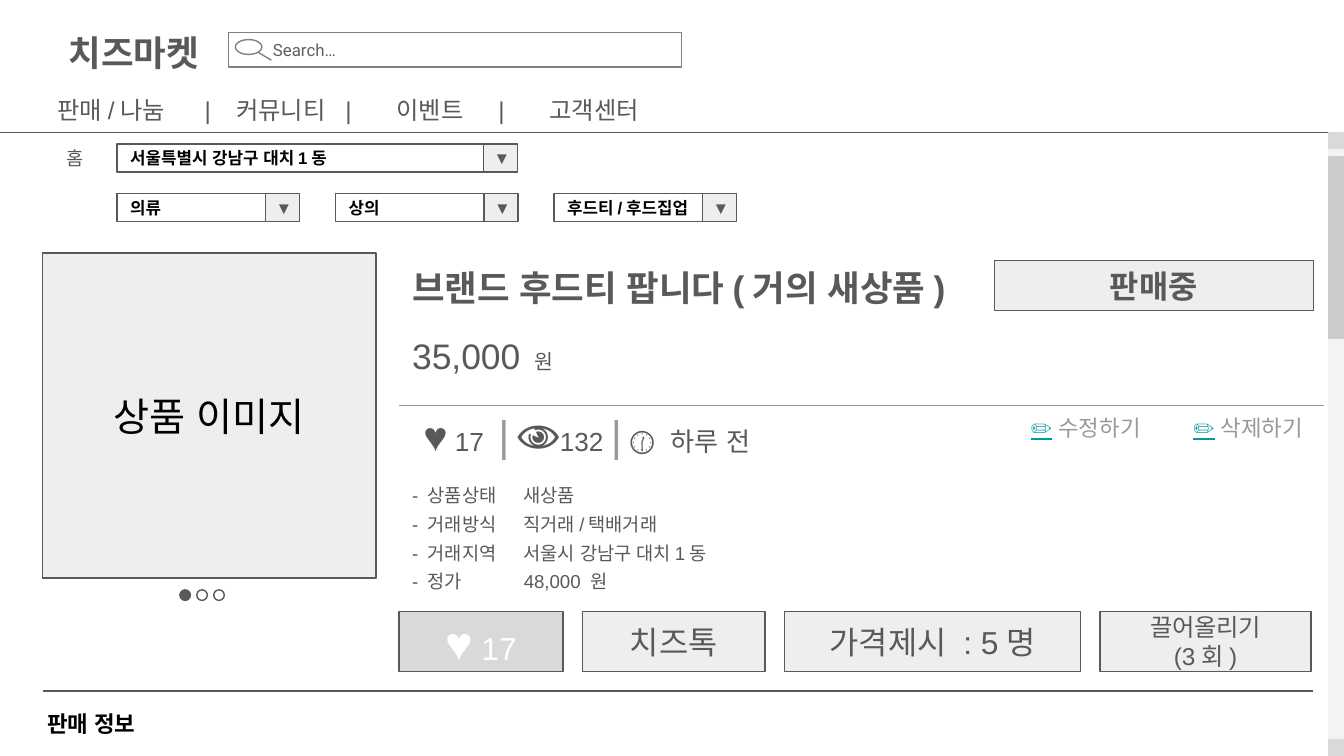
"""Builds a wireframe slide of a second-hand market product page."""
import math

import pptx
import pptx.dml.color
import pptx.enum.shapes
import pptx.enum.text
import pptx.oxml.ns
import pptx.util
from lxml import etree

Cm = pptx.util.Cm
Pt = pptx.util.Pt
RGBColor = pptx.dml.color.RGBColor
Shape = pptx.enum.shapes.MSO_SHAPE
Align = pptx.enum.text.PP_ALIGN
Anchor = pptx.enum.text.MSO_ANCHOR
qn = pptx.oxml.ns.qn

BLACK = RGBColor(0x00, 0x00, 0x00)
WHITE = RGBColor(0xFF, 0xFF, 0xFF)
DARK = RGBColor(0x59, 0x59, 0x59)
SEARCH_TEXT = RGBColor(0x5F, 0x5F, 0x5F)
SEARCH_LINE = RGBColor(0x80, 0x80, 0x80)
GRAY = RGBColor(0x99, 0x99, 0x99)
THUMB = RGBColor(0xCC, 0xCC, 0xCC)
SILVER = RGBColor(0xD9, 0xD9, 0xD9)
PALE = RGBColor(0xEE, 0xEE, 0xEE)
TRACK = RGBColor(0xF3, 0xF3, 0xF3)
TEAL = RGBColor(0x00, 0x97, 0xA7)


class Page:
    def __init__(self, slide, font="Arial", line_width=0.75):
        self.slide = slide
        self.font = font
        self.line_width = Pt(line_width)

    def format_run(self, run, size, color, bold=False, font=None):
        run.font.size = Pt(size)
        run.font.bold = bold
        run.font.color.rgb = color
        run.font.name = font or self.font
        for tag in ("a:ea", "a:cs"):
            etree.SubElement(run.font._element, qn(tag)).set("typeface", run.font.name)

    def prepare(self, shape, anchor, margin=0.25):
        frame = shape.text_frame
        frame.word_wrap = True
        frame.auto_size = pptx.enum.text.MSO_AUTO_SIZE.NONE
        frame.vertical_anchor = anchor
        frame.margin_left = frame.margin_right = Cm(margin)
        frame.margin_top = frame.margin_bottom = Cm(margin)
        return frame

    def put_text(self, shape, text, size, color=DARK, bold=False, align=Align.LEFT,
                 anchor=Anchor.TOP, font=None, gap=0):
        frame = self.prepare(shape, anchor)
        frame.text = text
        for index, paragraph in enumerate(frame.paragraphs):
            paragraph.alignment = align
            paragraph.space_before = Pt(gap if index else 0)
            for run in paragraph.runs:
                self.format_run(run, size, color, bold, font)
        return shape

    def put_runs(self, shape, runs, align=Align.LEFT, anchor=Anchor.TOP):
        paragraph = self.prepare(shape, anchor).paragraphs[0]
        paragraph.alignment = align
        for text, size, color in runs:
            run = paragraph.add_run()
            run.text = text
            self.format_run(run, size, color)
        return paragraph

    def text_box(self, left, top, width, height):
        return self.slide.shapes.add_textbox(Cm(left), Cm(top), Cm(width), Cm(height))

    def style(self, shape, fill, line):
        shape.shadow.inherit = False
        shape.fill.solid()
        shape.fill.fore_color.rgb = fill
        shape.line.color.rgb = line
        shape.line.width = self.line_width
        return shape

    def box(self, left, top, width, height, fill=PALE, line=DARK, kind=Shape.RECTANGLE):
        shape = self.slide.shapes.add_shape(kind, Cm(left), Cm(top), Cm(width), Cm(height))
        return self.style(shape, fill, line)

    def button(self, left, top, width, height, text, size, color=DARK, bold=False):
        return self.put_text(self.box(left, top, width, height), text, size, color, bold,
                             Align.CENTER, Anchor.MIDDLE)

    def rule(self, left, right, top, color=DARK):
        connector = self.slide.shapes.add_connector(
            pptx.enum.shapes.MSO_CONNECTOR.STRAIGHT, Cm(left), Cm(top), Cm(right), Cm(top))
        connector.line.color.rgb = color
        connector.line.width = self.line_width
        etree.SubElement(connector._element.spPr, qn("a:effectLst"))

    def dropdown(self, left, top, width, text):
        field = self.box(left, top, width - 0.46, 0.53, WHITE)
        self.put_text(field, text, 9, BLACK, True, anchor=Anchor.MIDDLE)
        arrow_left = left + width - 0.64
        self.box(arrow_left, top, 0.64, 0.53)
        self.put_text(self.text_box(arrow_left - 0.06, top - 0.18, 0.84, 0.89), "▼", 9)

    def tab_stops(self, paragraph, positions):
        tabs = etree.SubElement(paragraph._p.get_or_add_pPr(), qn("a:tabLst"))
        for position in positions:
            etree.SubElement(tabs, qn("a:tab"), pos=str(Cm(position)), algn="l")

    def magnifier(self, center_x, center_y, radius_x, radius_y):
        turns = [math.tau * step / 48 for step in range(48)]
        points = [(Cm(center_x + radius_x * math.cos(turn)),
                   Cm(center_y + radius_y * math.sin(turn))) for turn in turns]
        builder = self.slide.shapes.build_freeform(*points[0])
        builder.add_line_segments(points[1:])
        builder.move_to(Cm(center_x + 0.18), Cm(center_y + 0.1))
        builder.add_line_segments([(Cm(center_x + 0.43), Cm(center_y + 0.25))], close=False)
        self.style(builder.convert_to_shape(), WHITE, SEARCH_LINE)


def draw_header(page):
    page.box(0, 2.57, 25.4, 1.83, WHITE, WHITE)
    page.rule(0, 25.37, 2.51)
    page.put_text(page.text_box(0.66, 0.33, 3.73, 1.32), "치즈마켓", 19, bold=True,
                  align=Align.CENTER)
    menu = page.text_box(0.84, 1.55, 12.98, 0.76)
    page.tab_stops(menu.text_frame.paragraphs[0], (2.78, 3.38, 5.44, 6.41, 8.33, 9.3))
    page.put_runs(menu, [("\t|\t".join(("판매/나눔", "커뮤니티", "이벤트", "고객센터")), 13, DARK)])
    search = page.box(4.32, 0.61, 8.56, 0.66, WHITE, SEARCH_LINE)
    page.put_text(search, "Search…", 9, SEARCH_TEXT, anchor=Anchor.MIDDLE, font="Roboto")
    search.text_frame.margin_left = Cm(0.84)
    search.text_frame.margin_top = search.text_frame.margin_bottom = Cm(0.15)
    page.magnifier(4.7, 0.89, 0.25, 0.14)


def draw_filters(page):
    page.put_text(page.text_box(1.04, 2.51, 0.46, 0.94), "홈", 10, align=Align.CENTER,
                  anchor=Anchor.MIDDLE)
    page.dropdown(2.21, 2.72, 7.57, "서울특별시 강남구 대치1동")
    for index, text in enumerate(("의류", "상의", "후드티/후드집업")):
        page.dropdown(2.21 + 4.13 * index, 3.66, 3.45, text)


def draw_product(page):
    page.button(0.81, 4.78, 6.3, 6.15, "상품 이미지", 21, BLACK)
    for index, fill in enumerate((DARK, WHITE, WHITE)):
        page.box(3.4 + 0.32 * index, 11.15, 0.2, 0.2, fill, kind=Shape.OVAL)

    title = page.slide.shapes.title
    title.left, title.top, title.width, title.height = Cm(7.54), Cm(4.78), Cm(15.98), Cm(1.32)
    page.put_text(title, "브랜드 후드티 팝니다(거의 새상품)", 19, bold=True)
    page.button(18.8, 4.93, 6.02, 0.94, "판매중", 17, bold=True)
    page.put_runs(page.text_box(7.54, 6.07, 15.98, 1.32),
                  [("35,000", 19, DARK), (" ", 15, DARK), ("원", 11, DARK)])
    page.rule(7.54, 25.02, 7.67, GRAY)

    counts = page.text_box(7.75, 7.47, 15.98, 1.5)
    page.tab_stops(counts.text_frame.paragraphs[0], (1.42,))
    page.put_runs(counts, [
        ("♥", 22, DARK), (" 17\t", 14, DARK), ("|", 23, GRAY), (" ", 14, DARK),
        ("👁", 23, DARK), ("132 ", 14, DARK), ("|", 23, GRAY), (" ", 14, DARK),
        ("🕧 ", 16, DARK), ("하루 전", 14, DARK)])
    for left, text in ((19.23, " 수정하기"), (22.3, " 삭제하기")):
        link = page.put_runs(page.text_box(left, 7.67, 3.1, 1.02),
                             [("✏", 12, TEAL), (text, 12, GRAY)])
        link.line_spacing = 0.82
        link.runs[0].font.underline = True

    details = (("상품상태", "새상품"), ("거래방식", "직거래/택배거래"),
               ("거래지역", "서울시 강남구 대치1동"), ("정가", "48,000 원"))
    labels = "\n".join("- " + label for label, value in details)
    values = "\n".join(value for label, value in details)
    page.put_text(page.text_box(7.54, 8.89, 2.74, 2.62), labels, 10, gap=3.5)
    page.put_text(page.text_box(9.65, 8.89, 4.93, 2.62), values, 10, gap=3.5)


def draw_actions(page):
    top, height, gap, left = 11.56, 1.14, 0.37, 7.54
    like_width = 3.1
    like = page.box(left, top, like_width, height, SILVER)
    page.put_runs(like, [("♥", 25, WHITE), (" 17", 17, WHITE)], Align.CENTER, Anchor.MIDDLE)
    left += like_width + gap
    for width, text, size in ((3.45, "치즈톡", 17), (5.59, "가격제시 : 5명", 17),
                              (3.99, "끌어올리기\n(3회)", 13)):
        page.button(left, top, width, height, text, size)
        left += width + gap
    page.rule(0.81, 24.82, 13.06)
    page.put_text(page.text_box(0.64, 13.18, 3.45, 1.02), "판매 정보", 12, BLACK, True)


def draw_scrollbar(page):
    for top, height, color in ((2.54, 11.73, TRACK), (2.51, 0.3, SILVER),
                               (13.99, 0.3, SILVER), (2.97, 3.43, THUMB)):
        page.box(25.12, top, 0.28, height, color, color)


def main():
    presentation = pptx.Presentation()
    presentation.slide_width = Cm(25.4)
    presentation.slide_height = Cm(14.29)
    page = Page(presentation.slides.add_slide(presentation.slide_layouts[5]))
    draw_header(page)
    draw_filters(page)
    draw_product(page)
    draw_actions(page)
    draw_scrollbar(page)
    presentation.save("out.pptx")


if __name__ == "__main__":
    main()
